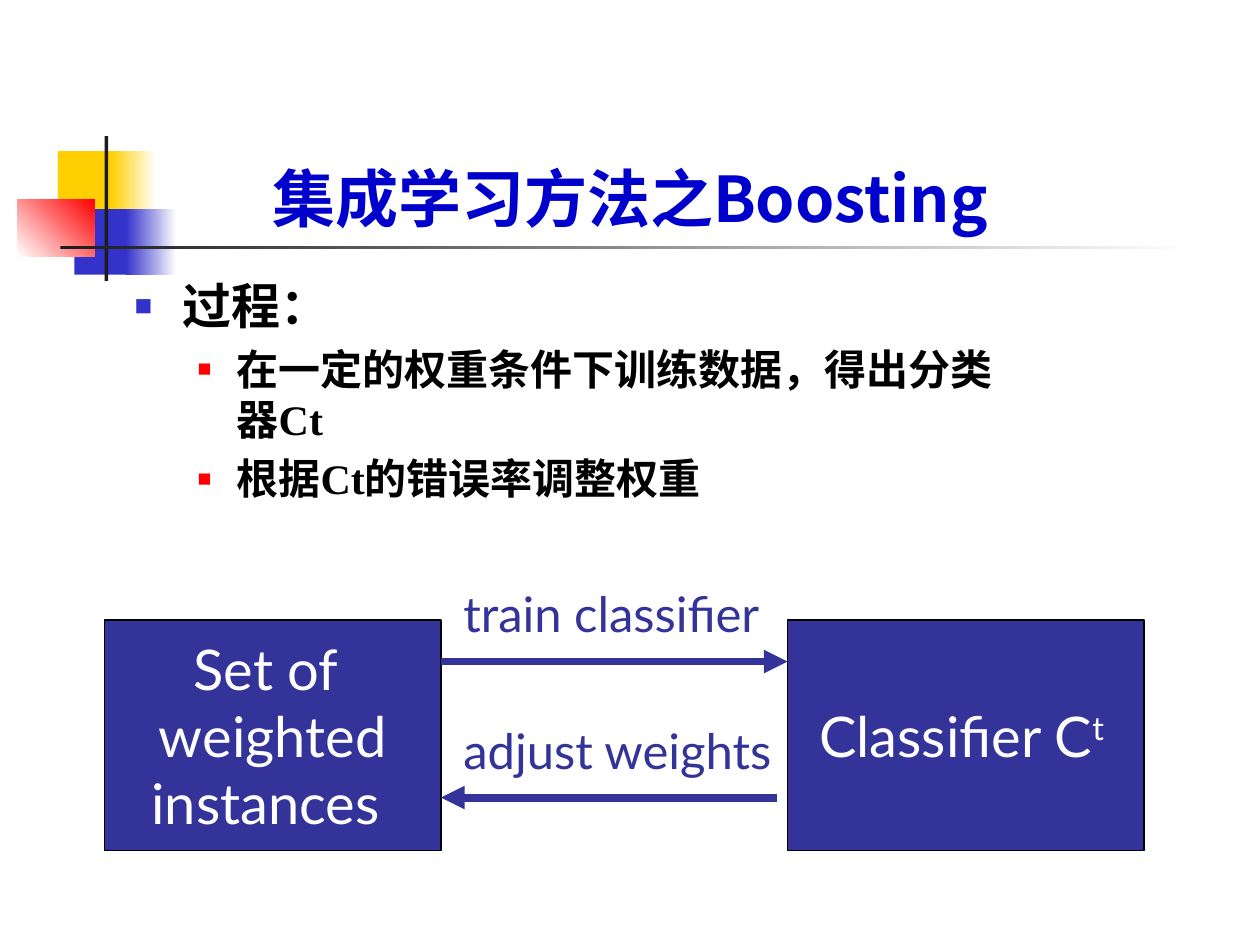
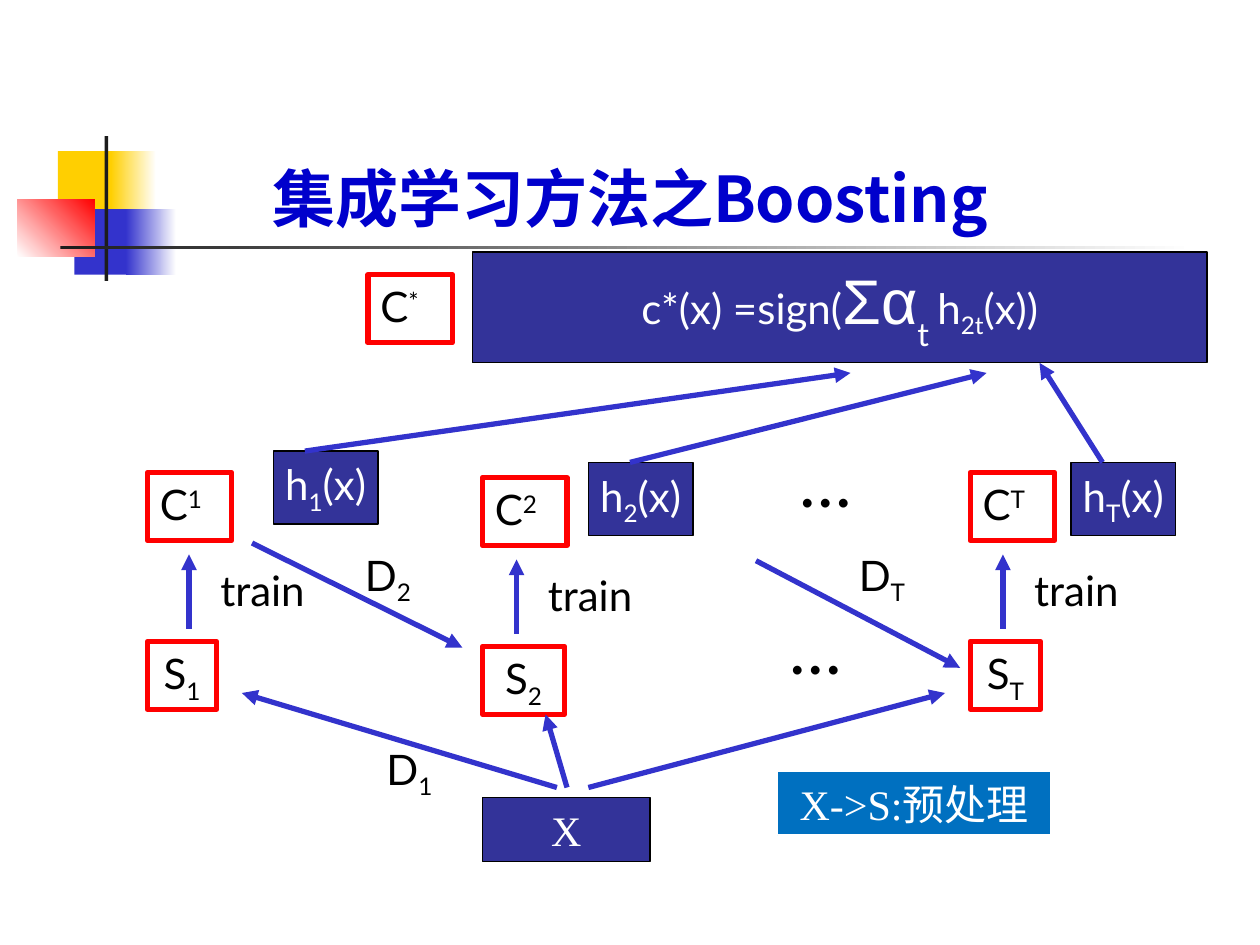
from lxml import etree
from pptx import Presentation
from pptx.dml.color import RGBColor
from pptx.enum import shapes, text
from pptx.oxml.ns import qn
from pptx.util import Inches, Pt


class Theme:
    """Colours, fonts and type sizes of the deck."""
    gold, blue, red, ink = "FFCF01", "3333CC", "FF0000", "1C1C1C"
    navy, sky, head = "333399", "0070C0", "0000CC"
    white, black = "FFFFFF", "000000"
    sans, serif, han, math = "Lato", "Times New Roman", "Noto Sans CJK SC", "Arial"
    small, label, large, title, dots = 24, 28, 32, 36, 40
    heavy, thin = 4.5, 3


LEFT, MID = text.PP_ALIGN.LEFT, text.PP_ALIGN.CENTER
TOP, CENTRE, BASE = (text.MSO_ANCHOR.TOP, text.MSO_ANCHOR.MIDDLE,
                     text.MSO_ANCHOR.BOTTOM)
TITLE = "集成学习方法之Boosting"


# --- text helpers ---
def sub(mark):
    return mark, {"shift": -25}


def sup(mark):
    return mark, {"shift": 30}


def style(run, look):
    look = dict(look)
    color, shift = look.pop("color"), look.pop("shift", 0)
    look["size"] = Pt(look["size"])
    for key, val in look.items():
        setattr(run.font, key, val)
    run.font.color.rgb = RGBColor.from_string(color)
    props = run.font._element
    etree.SubElement(props, qn("a:ea")).set("typeface", Theme.han)
    if shift:
        props.set("baseline", str(shift * 1000))


def write(frame, lines, align=LEFT, anchor=TOP, wrap=False, **look):
    """Each line is a string or a list of strings and (string, look) pairs."""
    base = {"size": Theme.small, "name": Theme.sans, "color": Theme.black, **look}
    for key, val in {"word_wrap": wrap, "vertical_anchor": anchor,
                     "auto_size": text.MSO_AUTO_SIZE.NONE}.items():
        setattr(frame, key, val)
    for i, line in enumerate(lines):
        para = frame.paragraphs[0] if i == 0 else frame.add_paragraph()
        para.alignment = align
        for part in [line] if isinstance(line, str) else line:
            words, extra = (part, {}) if isinstance(part, str) else part
            run = para.add_run()
            run.text = words
            style(run, {**base, **extra})


def bullet(para, color, size, left, hang):
    props = para._p.get_or_add_pPr()
    props.set("marL", str(Inches(left)))
    props.set("indent", str(-Inches(hang)))
    tint = etree.SubElement(props, qn("a:buClr"))
    etree.SubElement(tint, qn("a:srgbClr")).set("val", color)
    for tag, key, val in (("a:buSzPct", "val", str(size * 1000)),
                          ("a:buFont", "typeface", Theme.math),
                          ("a:buChar", "char", "■")):
        etree.SubElement(props, qn(tag)).set(key, val)


# --- shape helpers ---
def spot(*box):
    return [Inches(val) for val in box]


def rect(slide, box, fill=None, edge=None, width=0.75):
    item = slide.shapes.add_shape(shapes.MSO_SHAPE.RECTANGLE, *spot(*box))
    item.shadow.inherit = False
    if fill:
        item.fill.solid()
        item.fill.fore_color.rgb = RGBColor.from_string(fill)
    else:
        item.fill.background()
    if edge:
        item.line.color.rgb = RGBColor.from_string(edge)
        item.line.width = Pt(width)
    else:
        item.line.fill.background()
    return item


def fade(slide, box, start, end, angle=0):
    item = rect(slide, box)
    item.fill.gradient()
    item.fill.gradient_angle = angle
    for stop, color in zip(item.fill.gradient_stops, (start, end)):
        stop.color.rgb = RGBColor.from_string(color)


def block(slide, box, lines, fill=Theme.navy, edge=Theme.black, width=0.75, **look):
    item = rect(slide, box, fill, edge, width)
    write(item.text_frame, lines, MID, CENTRE, **{"color": Theme.white, **look})


def frame(slide, box, line, align=LEFT):
    item = rect(slide, box, None, Theme.red, Theme.thin)
    write(item.text_frame, [line], align)


def label(slide, box, line, **look):
    write(slide.shapes.add_textbox(*spot(*box)).text_frame, [line], **look)


def arrow(slide, start, end, color=Theme.blue, width=Theme.thin):
    item = slide.shapes.add_connector(shapes.MSO_CONNECTOR.STRAIGHT,
                                      *spot(*start, *end))
    item.line.color.rgb = RGBColor.from_string(color)
    item.line.width = Pt(width)
    props = item._element.spPr
    etree.SubElement(props.find(qn("a:ln")), qn("a:tailEnd")).set("type", "triangle")
    etree.SubElement(props, qn("a:effectLst"))


# --- shared parts ---
def motif(slide, x, y):
    t = Theme
    rect(slide, (x + 0.32, y + 0.12, 0.48, 0.52), t.gold)
    fade(slide, (x + 0.74, y + 0.12, 0.36, 0.52), t.gold, t.white)
    rect(slide, (x + 0.45, y + 0.58, 0.46, 0.52), t.blue)
    fade(slide, (x + 0.86, y + 0.58, 0.4, 0.52), t.blue, t.white)
    fade(slide, (x, y + 0.5, 0.61, 0.46), t.white, t.red, 45)
    rect(slide, (x + 0.69, y, 0.03, 1.15), t.ink)
    fade(slide, (x + 0.34, y + 0.87, 9, 0.03), t.ink, t.white)


def page(deck):
    slide = deck.slides.add_slide(deck.slide_layouts[5])
    motif(slide, 0.14, 1.08)
    title = slide.shapes.title
    for key, val in zip(("left", "top", "width", "height"),
                        spot(0.33, 0.67, 9.34, 1.25)):
        setattr(title, key, val)
    write(title.text_frame, [TITLE], MID, BASE, True, size=Theme.title,
          name=Theme.han, color=Theme.head, bold=True)
    return slide


# --- slide 1: the process ---
def steps(slide, box):
    body = slide.shapes.add_textbox(*spot(*box)).text_frame
    write(body, [[("过程：", {"size": Theme.label})],
                 "在一定的权重条件下训练数据，得出分类器Ct",
                 "根据Ct的错误率调整权重"],
          wrap=True, name=Theme.serif, bold=True)
    first, *rest = body.paragraphs
    bullet(first, Theme.blue, 60, 0.38, 0.38)
    for para in rest:
        para.level = 1
        para.space_before = Pt(5)
        bullet(para, Theme.red, 55, 0.81, 0.31)


def loop(slide, x, y):
    t = Theme
    block(slide, (x, y, 2.67, 1.83), ["Set of ", "weighted", "instances "],
          size=t.large)
    block(slide, (x + 5.42, y, 2.83, 1.83), [["Classifier C", sup("t ")]],
          size=t.large)
    for words, dy in (("train classifier", -0.34), ("adjust weights", 0.75)):
        label(slide, (x + 2.75, y + dy, 2.57, 0.57), words,
              size=t.label, color=t.navy)
    arrow(slide, (x + 2.67, y + 0.33), (x + 5.42, y + 0.33), t.navy, t.heavy)
    arrow(slide, (x + 5.34, y + 1.41), (x + 2.67, y + 1.41), t.navy, t.heavy)


# --- slide 2: the rounds ---
def vote(slide, x, y):
    t = Theme
    frame(slide, (x, y + 0.18, 0.67, 0.54), ["C", sup("*")])
    block(slide, (x + 0.83, y, 5.83, 0.88), [[
        "c*(x) =sign(", ("Σα", {"size": t.title, "name": t.math}),
        ("t ", {"size": t.large, "shift": -40}), "h", sub("2t"), "(x))"]])


def guess(slide, x, y, mark, dx, tip):
    block(slide, (x, y, 0.83, 0.58), [["h", sub(mark), "(x)"]])
    arrow(slide, (x + dx, y), tip)


def stage(slide, x, y, mark, stem, wide):
    frame(slide, (x, y, 0.67, 0.54), ["C", sup(mark)])
    arrow(slide, (x + stem, y + 1.24), (x + stem, y + 0.65))
    label(slide, (x + stem + 0.15, y + 0.68, 0.87, 0.5), "train")
    frame(slide, (x, y + 1.34, wide, 0.54), ["S", sub(mark)], MID)


def source(slide, x, y):
    t = Theme
    block(slide, (x, y, 1.33, 0.51), ["X"], name=t.serif)
    for dx, tip in ((0.67, (4.33, 5.67)), (0.59, (1.92, 5.5)), (0.84, (7.5, 5.5))):
        arrow(slide, (x + dx, y - 0.08), tip)
    block(slide, (x + 2.34, y - 0.21, 2.17, 0.51), ["X->S:预处理"],
          t.sky, t.white, 1, name=t.serif)


def rounds(slide):
    for x, y in ((6.17, 4.75), (6.25, 3.42)):
        label(slide, (x, y, 0.66, 0.77), "…", size=Theme.dots)
    vote(slide, 2.92, 2)
    for spec in ((2.17, 3.58, "1", 0.25, (6.75, 2.96)),
                 (4.67, 3.67, "2", 0.33, (7.83, 2.96)),
                 (8.5, 3.67, "T", 0.25, (8.25, 2.88))):
        guess(slide, *spec)
    for spec in ((1.17, 3.75, "1", 0.33, 0.55), (3.83, 3.79, "2", 0.27, 0.65),
                 (7.7, 3.75, "T", 0.26, 0.56)):
        stage(slide, *spec)
    arrow(slide, (2, 4.31), (3.67, 5.14))
    arrow(slide, (6, 4.45), (7.62, 5.3))
    source(slide, 3.83, 6.33)
    for x, y, mark in ((3, 5.96, "1"), (2.83, 4.42, "2"), (6.75, 4.42, "T")):
        label(slide, (x, y, 0.5, 0.33), ["D", sub(mark)], align=MID, anchor=CENTRE)


def main():
    deck = Presentation()
    deck.slide_width, deck.slide_height = spot(10, 7.5)
    first = page(deck)
    steps(first, (0.97, 2.14, 7.09, 5.36))
    loop(first, 0.83, 4.92)
    rounds(page(deck))
    deck.save("out.pptx")


if __name__ == "__main__":
    main()
